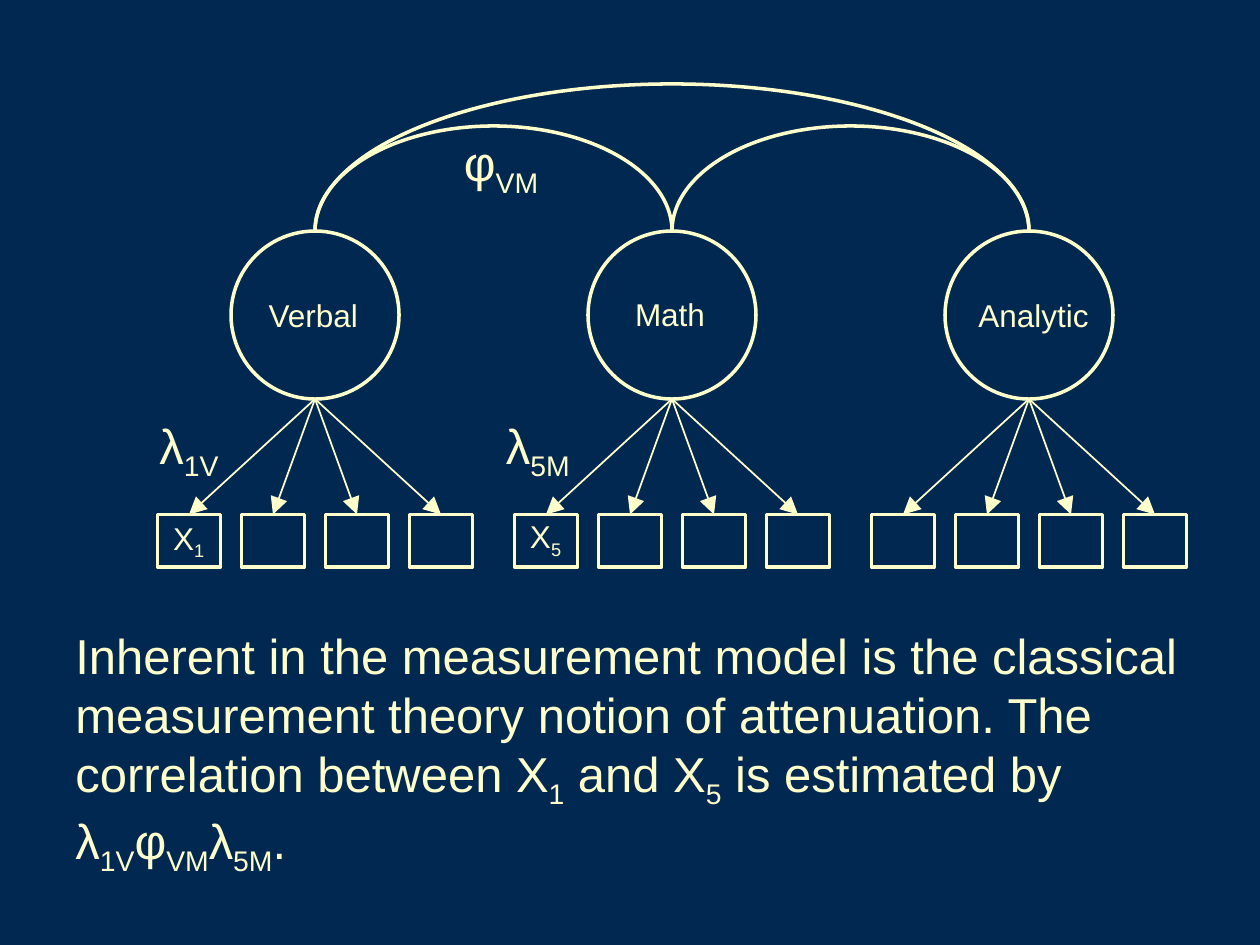
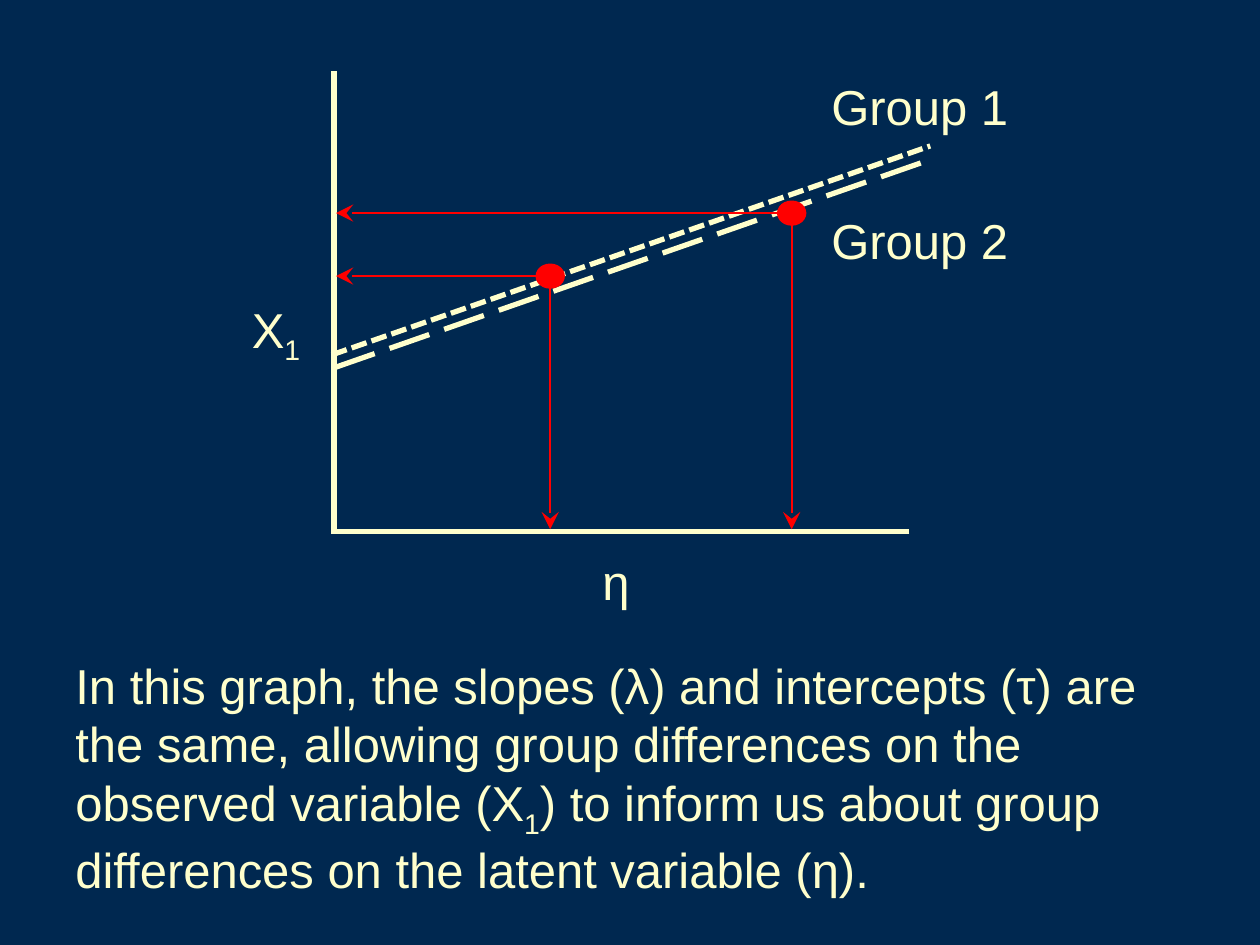
"""Build two slides on a measurement model and on comparing two groups."""
from lxml import etree
from pptx import Presentation
from pptx.dml.color import RGBColor
from pptx.enum.dml import MSO_LINE
from pptx.enum.shapes import MSO_CONNECTOR, MSO_SHAPE
from pptx.enum.text import MSO_AUTO_SIZE
from pptx.oxml.ns import qn
from pptx.util import Pt

NAVY = RGBColor(0x00, 0x28, 0x50)
CREAM = RGBColor(0xFF, 0xFF, 0xCC)
RED = RGBColor(0xFF, 0x00, 0x00)

ARC, OVAL, RECTANGLE = MSO_SHAPE.ARC, MSO_SHAPE.OVAL, MSO_SHAPE.RECTANGLE
STRAIGHT = MSO_CONNECTOR.STRAIGHT
SHORT_DASH, LONG_DASH = MSO_LINE.SQUARE_DOT, MSO_LINE.LONG_DASH
GROW = MSO_AUTO_SIZE.SHAPE_TO_FIT_TEXT

EMU_PER_PX = 7620
FONT = "Arial"
HALF_TURN = 108


def px(*lengths):
    return [length * EMU_PER_PX for length in lengths]


class Deck:
    """Holds the shared style and the slide being drawn."""

    def __init__(self):
        self.presentation = Presentation()
        self.presentation.slide_width, self.presentation.slide_height = px(1200, 900)
        background = self.presentation.slide_master.background.fill
        background.solid()
        background.fore_color.rgb = NAVY
        self.slide = None

    def new_slide(self):
        self.slide = self.presentation.slides.add_slide(self.presentation.slide_layouts[6])

    def text(self, text, left, top, width, height, size=28, color=CREAM):
        """Write text in which each part between bars is a subscript."""
        box = self.slide.shapes.add_textbox(*px(left, top, width, height))
        frame = box.text_frame
        frame.word_wrap = True
        frame.auto_size = GROW
        paragraph = frame.paragraphs[0]
        for index, part in enumerate(text.split("|")):
            if not part:
                continue
            run = paragraph.add_run()
            run.text = part
            run.font.name = FONT
            run.font.size = Pt(size)
            run.font.color.rgb = color
            if index % 2:
                run.font._element.set("baseline", "-25000")

    def shape(self, kind, left, top, width, height, fill=None):
        """Draw a filled shape, or an outlined one when no fill is given."""
        shape = self.slide.shapes.add_shape(kind, *px(left, top, width, height))
        shape.shadow.inherit = False
        if fill is None:
            shape.fill.background()
            shape.line.color.rgb = CREAM
            shape.line.width = Pt(2)
        else:
            shape.fill.solid()
            shape.fill.fore_color.rgb = fill
            shape.line.fill.background()
        return shape

    def arch(self, start, end, top, base):
        """Draw the upper half of an ellipse that stands on the base."""
        arch = self.shape(ARC, start, top, end - start, 2 * (base - top))
        arch.adjustments[0] = HALF_TURN
        arch.adjustments[1] = 0

    def line(self, start, end, color=CREAM, width=1, dash=None, head=None):
        """Draw a straight line, with a large head at its end if one is named."""
        connector = self.slide.shapes.add_connector(STRAIGHT, *px(*start, *end))
        connector.line.color.rgb = color
        connector.line.width = Pt(width)
        if dash is not None:
            connector.line.dash_style = dash
        if head:
            outline = connector.line._get_or_add_ln()
            etree.SubElement(outline, qn("a:tailEnd"), type=head, w="lg", len="lg")
        etree.SubElement(connector._element.spPr, qn("a:effectLst"))


def draw_measurement_model(deck):
    """Draw three correlated factors with four indicators each."""
    deck.new_slide()
    verbal, math, analytic = factors = [300 + 340 * index for index in range(3)]
    factor_top, radius, indicator_top = 220, 80, 490

    for center in factors:
        deck.shape(OVAL, center - radius, factor_top, 2 * radius, 2 * radius)
        for offset in (-120, -40, 40, 120):
            indicator = center + offset
            deck.shape(RECTANGLE, indicator - 30, indicator_top, 60, 50)
            deck.line((center, factor_top + 2 * radius), (indicator, indicator_top),
                      head="triangle")

    for start, end, top in ((verbal, math, 120), (math, analytic, 120), (verbal, analytic, 80)):
        deck.arch(start, end, top, factor_top)

    for name, left, top, width in (("Verbal", 244, 276, 116), ("Math", 593, 275, 98),
                                   ("Analytic", 920, 276, 136)):
        deck.text(name, left, top, width, 48, size=18)
    for name, left, top in (("X|1|", 153, 488), ("X|5|", 493, 487)):
        deck.text(name, left, top, 70, 53, size=18)
    for name, left, top, width in (("λ|1V|", 140, 390, 90), ("λ|5M|", 470, 390, 100),
                                   ("φ|VM|", 430, 120, 120)):
        deck.text(name, left, top, width, 76)

    deck.text("Inherent in the measurement model is the classical measurement theory notion "
              "of attenuation. The correlation between X|1| and X|5| is estimated by "
              "λ|1V|φ|VM|λ|5M|.", 60, 590, 1100, 252)


def draw_group_comparison(deck):
    """Draw the regression lines of two groups and read one point off each."""
    deck.new_slide()
    axis_x, axis_y = 318, 506
    deck.line((axis_x, 68), (axis_x, axis_y + 3), width=3)
    deck.line((866, axis_y), (axis_x - 1, axis_y), width=3)
    deck.line((316, 338), (886, 139), width=3, dash=SHORT_DASH)
    deck.line((319, 350), (889, 151), width=3, dash=LONG_DASH)

    for x, y in ((524, 263), (754, 203)):
        deck.shape(OVAL, x - 14, y - 12, 28, 24, fill=RED)
        deck.line((x, y), (x, axis_y - 2), color=RED, head="stealth")
        deck.line((x, y), (axis_x + 2, y), color=RED, head="stealth")

    deck.text("η", 562, 519, 60, 68)
    deck.text("X|1|", 228, 279, 85, 76)
    deck.text("Group 1", 780, 67, 198, 68)
    deck.text("Group 2", 780, 195, 240, 68)
    deck.text("In this graph, the slopes (λ) and intercepts (τ) are the same, allowing group "
              "differences on the observed variable (X|1|) to inform us about group "
              "differences on the latent variable (η).", 60, 618, 1100, 244)


def main():
    deck = Deck()
    draw_measurement_model(deck)
    draw_group_comparison(deck)
    deck.presentation.save("out.pptx")


if __name__ == "__main__":
    main()
